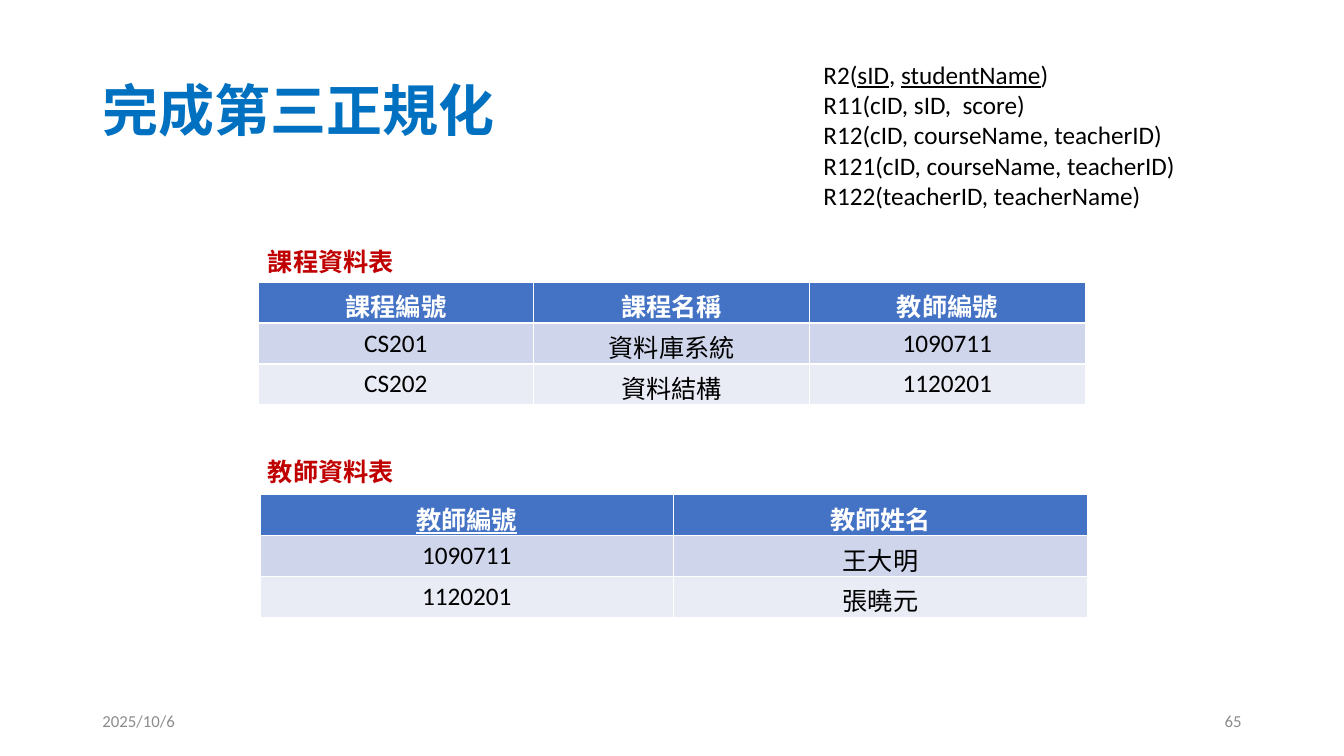
from pptx import Presentation
from pptx.dml.color import RGBColor
from pptx.enum.text import MSO_ANCHOR, MSO_AUTO_SIZE, PP_ALIGN
from pptx.util import Cm, Pt

TITLE_BLUE = RGBColor(0x00, 0x70, 0xC0)
CAPTION_RED = RGBColor(0xC0, 0x00, 0x00)
HEADER_BLUE = RGBColor(0x44, 0x72, 0xC4)
ROW_FILLS = [HEADER_BLUE, RGBColor(0xCF, 0xD5, 0xEA), RGBColor(0xE9, 0xEB, 0xF5)]
WHITE = RGBColor(0xFF, 0xFF, 0xFF)
BLACK = RGBColor(0x00, 0x00, 0x00)
GREY = RGBColor(0x8C, 0x8C, 0x8C)
LEFT, CENTER, RIGHT = PP_ALIGN.LEFT, PP_ALIGN.CENTER, PP_ALIGN.RIGHT
TOP, MIDDLE = MSO_ANCHOR.TOP, MSO_ANCHOR.MIDDLE
NO_FIT, GROW = MSO_AUTO_SIZE.NONE, MSO_AUTO_SIZE.SHAPE_TO_FIT_TEXT


def write_runs(paragraph, runs, size, color, bold=False, alignment=LEFT):
    paragraph.alignment = alignment
    font_format = {"name": "Calibri", "size": Pt(size), "bold": bold}
    for text, underline in runs:
        run = paragraph.add_run()
        run.text = text
        run.font.color.rgb = color
        for attribute, value in font_format.items():
            setattr(run.font, attribute, value)
        if underline:
            run.font.underline = True


def add_text_box(left, top, width, height, anchor=TOP, wrap=True, fit=NO_FIT):
    shape = slide.shapes.add_textbox(Cm(left), Cm(top), Cm(width), Cm(height))
    frame_format = {"word_wrap": wrap, "auto_size": fit, "vertical_anchor": anchor}
    for attribute, value in frame_format.items():
        setattr(shape.text_frame, attribute, value)
    return shape.text_frame


presentation = Presentation()
presentation.slide_width = Cm(33.87)
presentation.slide_height = Cm(19.05)
slide = presentation.slides.add_slide(presentation.slide_layouts[5])

title = slide.shapes.title
title_place = {"left": 2.33, "top": 1.01, "width": 29.21, "height": 3.68}
for attribute, value in title_place.items():
    setattr(title, attribute, Cm(value))
title.text_frame.vertical_anchor = MIDDLE
title.text_frame.auto_size = NO_FIT
title_paragraph = title.text_frame.paragraphs[0]
title_paragraph.line_spacing = 0.9
write_runs(title_paragraph, [("完成第三正規化", False)], 40, TITLE_BLUE, bold=True)

relations = [
    [("R2(", False), ("sID", True), (", ", False), ("studentName", True), (")", False)],
    [("R11(cID, sID,  score)", False)],
    [("R12(cID, courseName, teacherID)", False)],
    [("R121(cID, courseName, teacherID)", False)],
    [("R122(teacherID, teacherName)", False)],
]
relation_frame = add_text_box(20.5, 1.37, 9.65, 4.11, wrap=False, fit=GROW)
for index, runs in enumerate(relations):
    paragraph = relation_frame.add_paragraph() if index else relation_frame.paragraphs[0]
    write_runs(paragraph, runs, 18, BLACK)

TABLE_WIDTH, ROW_HEIGHT = 20.85, 1.03
course_rows = [
    ["課程編號", "課程名稱", "教師編號"],
    ["CS201", "資料庫系統", "1090711"],
    ["CS202", "資料結構", "1120201"],
]
teacher_rows = [
    ["教師編號", "教師姓名"],
    ["1090711", "王大明"],
    ["1120201", "張曉元"],
]
tables = [
    ("課程資料表", 6.07, 6.5, 7.11, course_rows, 0.13, None),
    ("教師資料表", 11.38, 6.55, 12.47, teacher_rows, 0, 0),
]
for caption, caption_top, left, top, rows, bottom_margin, key_column in tables:
    caption_frame = add_text_box(6.5, caption_top, 16.97, 1.03, fit=GROW)
    write_runs(caption_frame.paragraphs[0], [(caption, False)], 18, CAPTION_RED, bold=True)
    table = slide.shapes.add_table(
        len(rows), len(rows[0]), Cm(left), Cm(top), Cm(TABLE_WIDTH), Cm(ROW_HEIGHT * len(rows))
    ).table
    for row_index, texts in enumerate(rows):
        is_header = row_index == 0
        for column_index, text in enumerate(texts):
            cell = table.cell(row_index, column_index)
            cell.margin_bottom = Cm(bottom_margin)
            cell.fill.solid()
            cell.fill.fore_color.rgb = ROW_FILLS[row_index]
            underline = is_header and column_index == key_column
            write_runs(cell.text_frame.paragraphs[0], [(text, underline)], 18,
                       WHITE if is_header else BLACK, is_header, CENTER)

for text, left, alignment in [("2025/10/6", 2.33, LEFT), ("65", 23.92, RIGHT)]:
    footer_frame = add_text_box(left, 17.66, 7.62, 1.01, anchor=MIDDLE)
    write_runs(footer_frame.paragraphs[0], [(text, False)], 12, GREY, alignment=alignment)

presentation.save("out.pptx")
